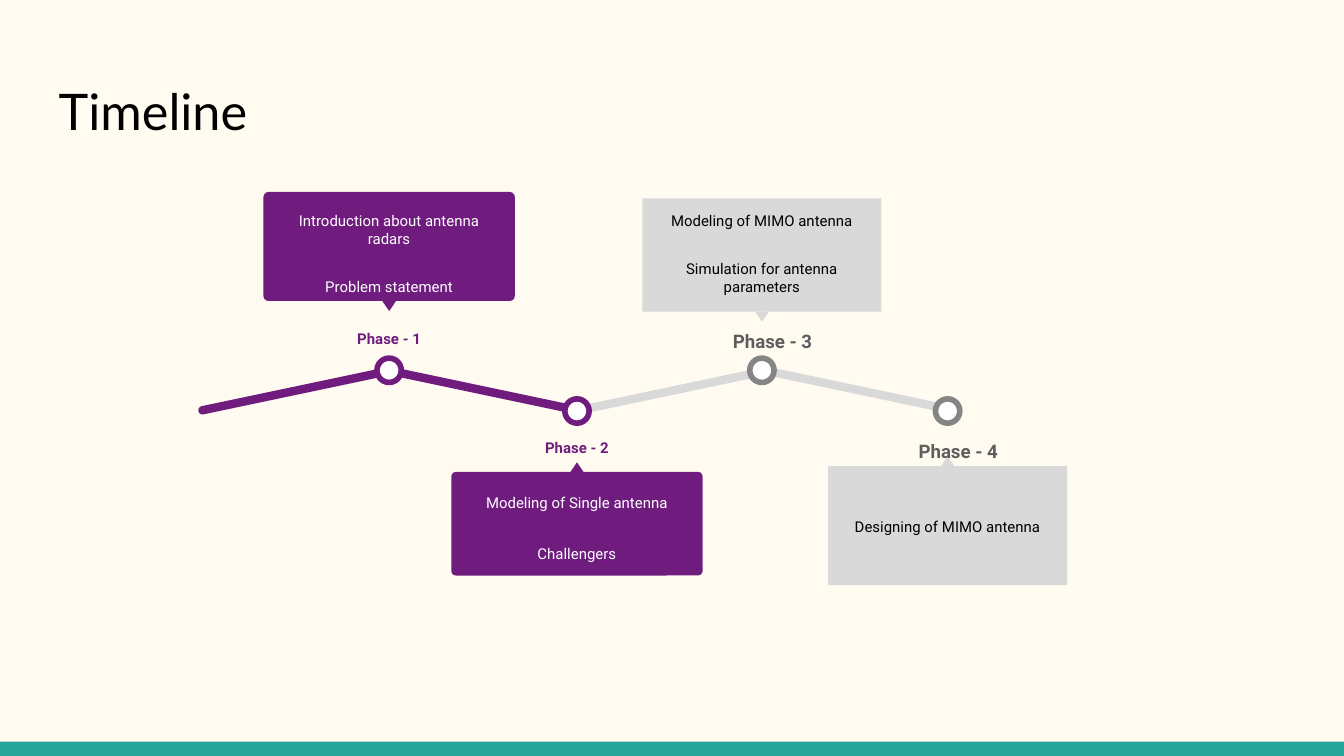
from pptx import Presentation
from pptx.dml.color import RGBColor
from pptx.enum.shapes import MSO_SHAPE
from pptx.enum.text import MSO_ANCHOR, MSO_AUTO_SIZE, PP_ALIGN
from pptx.util import Cm, Pt

RECT, ROUND = MSO_SHAPE.RECTANGLE, MSO_SHAPE.ROUNDED_RECTANGLE
OVAL, TRIANGLE = MSO_SHAPE.OVAL, MSO_SHAPE.ISOSCELES_TRIANGLE
TOP, MIDDLE = MSO_ANCHOR.TOP, MSO_ANCHOR.MIDDLE
LEFT, CENTER = PP_ALIGN.LEFT, PP_ALIGN.CENTER
NO_FIT = MSO_AUTO_SIZE.NONE

WIDTH, HEIGHT = 25.4, 14.29
CREAM, TEAL, WHITE, BLACK = "FFFBF0", "26A69A", "FFFFFF", "000000"
PURPLE, SILVER, GRAY, SLATE = "701C7F", "D9D9D9", "858585", "5E5E5E"
CREST_Y, TROUGH_Y = 7.0, 7.77

DONE = dict(fill=PURPLE, ring=PURPLE, label=PURPLE, text=WHITE, size=8,
            kind=ROUND, shift=0, pad=0.12)
PLANNED = dict(fill=SILVER, ring=GRAY, label=SLATE, text=BLACK, size=10,
               kind=RECT, shift=0.2, pad=0)

PHASES = [
    ("Phase - 1", ["Introduction about antenna radars", "Problem statement"],
     (4.98, 3.63, 4.75, 2.06), DONE, TOP, 1.0),
    ("Phase - 2", ["Modeling of Single antenna", "Challengers"],
     (8.53, 8.92, 4.75, 1.96), DONE, TOP, 1.15),
    ("Phase - 3", ["Modeling of MIMO antenna", "Simulation for antenna parameters"],
     (12.14, 3.75, 4.52, 2.14), PLANNED, TOP, 1.0),
    ("Phase - 4", ["Designing of MIMO antenna"],
     (15.65, 8.81, 4.52, 2.25), PLANNED, MIDDLE, 1.15),
]


def color(value):
    """Turn a hex string into a colour."""
    return RGBColor.from_string(value)


def add_shape(s, kind, box, fill, line=None, rotation=0, adj=None):
    """Add a flat shape in a box given in centimetres."""
    sp = s.shapes.add_shape(kind, *map(Cm, box))
    sp.shadow.inherit = False
    sp.fill.solid()
    sp.fill.fore_color.rgb = color(fill)
    sp.rotation = rotation
    if adj is not None:
        sp.adjustments[0] = adj
    if line:
        sp.line.color.rgb = color(line)
        sp.line.width = Pt(3)
    else:
        sp.line.fill.background()
    return sp


def write(sp, lines, *, size, fill, font="Roboto", bold=False, align=CENTER,
          anchor=TOP, spacing=1.0, gap=0):
    """Fill a shape with formatted paragraphs."""
    tf = sp.text_frame
    tf.word_wrap, tf.auto_size, tf.vertical_anchor = True, NO_FIT, anchor
    tf.margin_left = tf.margin_right = tf.margin_top = tf.margin_bottom = Cm(0.25)
    for i, line in enumerate(lines):
        p = tf.add_paragraph() if i else tf.paragraphs[0]
        p.alignment, p.line_spacing = align, spacing
        p.space_before = Pt(gap if i else 0)
        r = p.add_run()
        r.text = line
        r.font.name, r.font.size, r.font.bold = font, Pt(size), bold
        r.font.color.rgb = color(fill)


def add_title(s, box, text):
    """Place the slide title in its placeholder."""
    sp = s.shapes.title
    sp.left, sp.top, sp.width, sp.height = map(Cm, box)
    write(sp, [text], size=27, fill=BLACK, font="Lato", align=LEFT, anchor=MIDDLE)


def add_path(s, box):
    """Draw the zigzag of four equal bars within a box."""
    x, y, w, h = box
    pitch, length = 3.56, 3.76
    left = x + (w - 3 * pitch - length) / 2
    for i, fill in enumerate([PURPLE, PURPLE, SILVER, SILVER]):
        bar = (left + i * pitch, y + h / 2 - 0.08, length, 0.16)
        add_shape(s, ROUND, bar, fill, rotation=11.9 if i % 2 else -11.9, adj=0.5)


def add_phase(s, box, name, lines, style, anchor, spacing):
    """Place a phase: card, pointer, label and node, centred on the card."""
    x, y, w, h = box
    mid = x + w / 2
    above = y < CREST_Y
    node_y = CREST_Y if above else TROUGH_Y
    tip_y = y + h if above else y - 0.18
    label_y = node_y - 1.07 if above else node_y + 0.23

    holder = add_shape(s, style["kind"], box, style["fill"],
                       adj=0.045 if style["kind"] == ROUND else None)
    pad = style["pad"]
    if pad:
        holder = s.shapes.add_textbox(Cm(x + pad), Cm(y + pad), Cm(w - 2 * pad), Cm(h))
    write(holder, lines, size=8, fill=style["text"], anchor=anchor,
          spacing=spacing, gap=16)

    add_shape(s, TRIANGLE, (mid - 0.13, tip_y, 0.26, 0.19), style["fill"],
              rotation=180 if above else 0)
    label = s.shapes.add_textbox(Cm(mid + style["shift"] - 1.15), Cm(label_y),
                                 Cm(2.3), Cm(0.76))
    write(label, [name], size=style["size"], fill=style["label"], bold=True,
          spacing=1.15)
    add_shape(s, OVAL, (mid - 0.23, node_y - 0.23, 0.46, 0.46), WHITE,
              line=style["ring"])


def main():
    """Build the timeline slide."""
    prs = Presentation()
    prs.slide_width, prs.slide_height = Cm(WIDTH), Cm(HEIGHT)
    s = prs.slides.add_slide(prs.slide_layouts[5])
    s.background.fill.solid()
    s.background.fill.fore_color.rgb = color(CREAM)
    add_shape(s, RECT, (0, HEIGHT - 0.27, WIDTH, 0.27), TEAL)
    add_title(s, (0.86, 1.24, 23.67, 1.7), "Timeline")
    add_path(s, (3.71, CREST_Y, 14.44, TROUGH_Y - CREST_Y))
    for name, lines, box, style, anchor, spacing in PHASES:
        add_phase(s, box, name, lines, style, anchor, spacing)
    prs.save("out.pptx")


if __name__ == "__main__":
    main()
